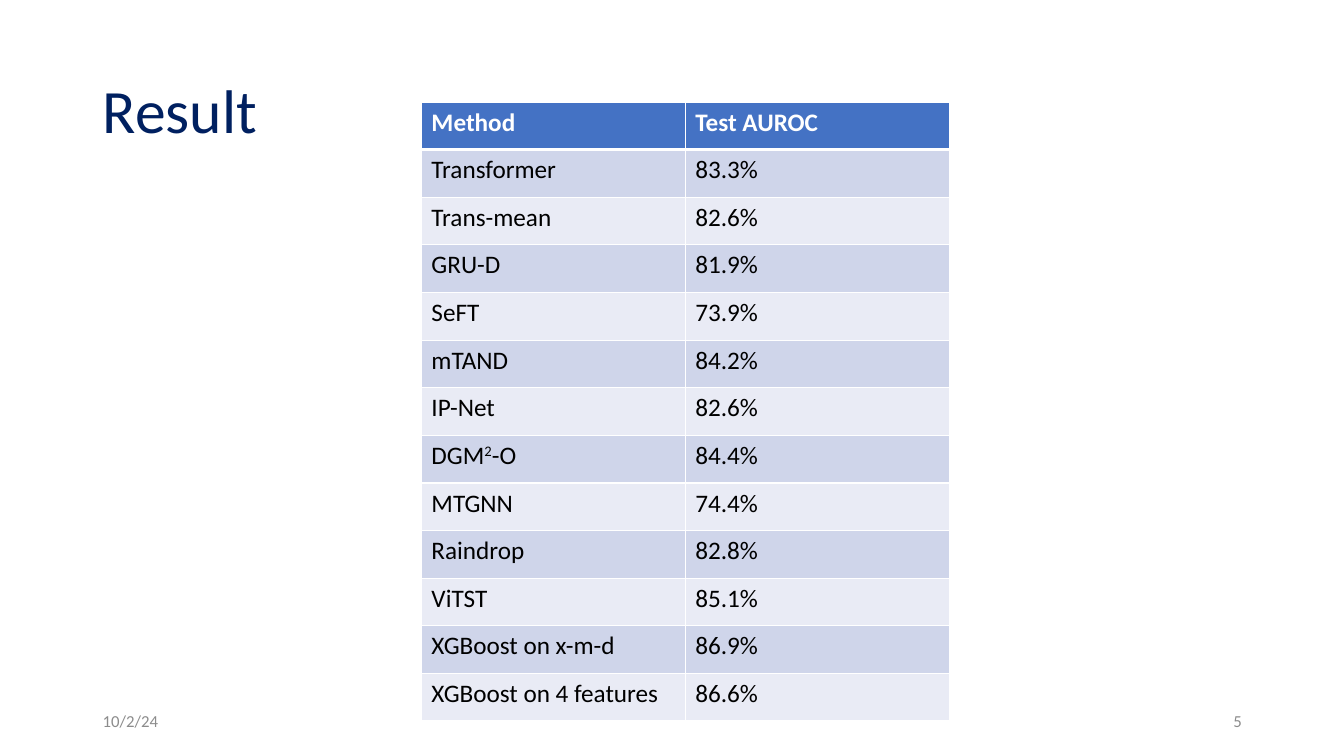
from dataclasses import dataclass

from lxml.etree import SubElement
from pptx import Presentation
from pptx.dml.color import RGBColor
from pptx.enum.text import MSO_ANCHOR, PP_ALIGN
from pptx.oxml.ns import qn
from pptx.util import Cm, Pt


@dataclass(frozen=True)
class Theme:
    font: str = "Calibri"
    title_size: int = 44
    table_size: int = 18
    footer_size: int = 12
    title: str = "002060"
    footer: str = "8C8C8C"
    header_fill: str = "4472C4"
    band_fills: tuple = ("E9EBF5", "CFD5EA")
    light: str = "FFFFFF"
    dark: str = "000000"


theme = Theme()


def write_text(frame, text, size, color, bold=False, align=PP_ALIGN.LEFT, line_spacing=None):
    """Fill the first paragraph; a part between ^ marks is superscript."""
    para = frame.paragraphs[0]
    para.alignment = align
    para.line_spacing = line_spacing
    for index, part in enumerate(text.split("^")):
        span = para.add_run()
        span.text = part
        span.font.name = theme.font
        span.font.size = Pt(size)
        span.font.bold = bold
        span.font.color.rgb = RGBColor.from_string(color)
        if index % 2:
            span.font._element.set("baseline", "30000")


def set_borders(cell, **widths):
    """Draw solid light borders; widths are points keyed by side L, R, T, B."""
    properties = cell._tc.get_or_add_tcPr()
    for side, width in widths.items():
        line = SubElement(properties, qn(f"a:ln{side}"), w=str(Pt(width)))
        fill = SubElement(line, qn("a:solidFill"))
        SubElement(fill, qn("a:srgbClr"), val=theme.light)


deck = Presentation()
deck.slide_width, deck.slide_height = Cm(33.87), Cm(19.05)
page = deck.slides.add_slide(deck.slide_layouts[6])

# Title, date and page number
footer_format = dict(size=theme.footer_size, color=theme.footer)
labels = [
    ("Result", (2.34, 1.02, 29.21, 3.68),
     dict(size=theme.title_size, color=theme.title, line_spacing=0.9)),
    ("10/2/24", (2.34, 17.65, 7.62, 1.01), footer_format),
    ("5", (23.93, 17.65, 7.62, 1.01), dict(footer_format, align=PP_ALIGN.RIGHT)),
]
for text, place, text_format in labels:
    box = page.shapes.add_textbox(*map(Cm, place))
    box.text_frame.word_wrap = True
    box.text_frame.vertical_anchor = MSO_ANCHOR.MIDDLE
    write_text(box.text_frame, text, **text_format)

# Results table
results = [
    ("Method", "Test AUROC"),
    ("Transformer", "83.3%"),
    ("Trans-mean", "82.6%"),
    ("GRU-D", "81.9%"),
    ("SeFT", "73.9%"),
    ("mTAND", "84.2%"),
    ("IP-Net", "82.6%"),
    ("DGM^2^-O", "84.4%"),
    ("MTGNN", "74.4%"),
    ("Raindrop", "82.8%"),
    ("ViTST", "85.1%"),
    ("XGBoost on x-m-d", "86.9%"),
    ("XGBoost on 4 features", "86.6%"),
]
row_height = 1.2
table = page.shapes.add_table(
    len(results), 2, Cm(10.62), Cm(2.57), Cm(13.3), Cm(row_height * len(results))
).table
for row_index, values in enumerate(results):
    table.rows[row_index].height = Cm(row_height)
    is_header = row_index == 0
    fill_color = theme.header_fill if is_header else theme.band_fills[row_index % 2]
    for column_index, value in enumerate(values):
        cell = table.cell(row_index, column_index)
        set_borders(cell, L=1, R=1, T=3 if row_index == 1 else 1, B=3 if is_header else 1)
        cell.fill.solid()
        cell.fill.fore_color.rgb = RGBColor.from_string(fill_color)
        write_text(cell.text_frame, value, theme.table_size,
                   theme.light if is_header else theme.dark, bold=is_header)

deck.save("out.pptx")
